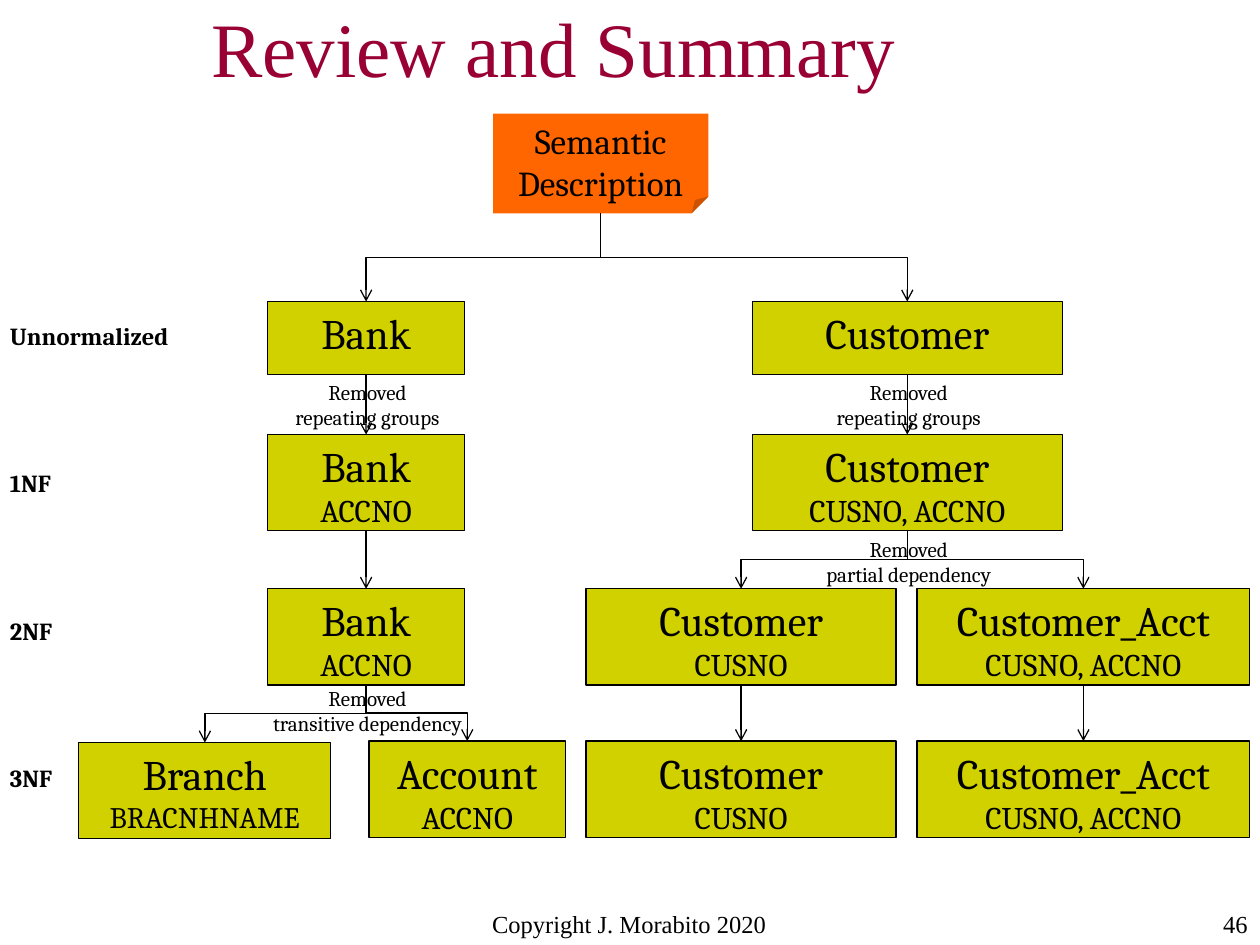
from lxml import etree
from pptx import Presentation
from pptx import util as u
from pptx.dml.color import RGBColor
from pptx.enum import shapes, text
from pptx.oxml import ns

BLACK, OLIVE, ORANGE, CRIMSON = "000000", "D1D100", "FF6600", "990033"
SERIF, CAMBRIA = "Times New Roman", "Cambria"
LEFT, CENTER, RIGHT = text.PP_ALIGN.LEFT, text.PP_ALIGN.CENTER, text.PP_ALIGN.RIGHT


def write(box, lines, sizes, font=CAMBRIA, color=BLACK, align=CENTER, bold=False,
          wrap=True, anchor=text.MSO_ANCHOR.TOP, gap=0):
    frame = box.text_frame
    frame.word_wrap = wrap
    frame.vertical_anchor = anchor
    for index, line in enumerate(lines):
        para = frame.add_paragraph() if index else frame.paragraphs[0]
        para.alignment = align
        if index and gap:
            para.space_before = u.Pt(gap)
        span = para.add_run()
        span.text = line
        span.font.name = font
        span.font.size = u.Pt(sizes[min(index, len(sizes) - 1)])
        span.font.bold = bold
        span.font.color.rgb = RGBColor.from_string(color)


def connect(x1, y1, x2, y2):
    """Arrow downwards; an elbow leaves and arrives vertically, so it is a turned one."""
    kind, turn = shapes.MSO_CONNECTOR.STRAIGHT, None
    ends = (x1, y1, x2, y2)
    if x1 != x2:
        kind = shapes.MSO_CONNECTOR.ELBOW
        middle_x, middle_y = (x1 + x2) / 2, (y1 + y2) / 2
        reach, spread = (y2 - y1) / 2, abs(x2 - x1) / 2
        turn = 90 if x2 < x1 else 270
        if x2 > x1:
            reach = -reach
        ends = (middle_x - reach, middle_y - spread, middle_x + reach, middle_y + spread)
    arrow = slide.shapes.add_connector(kind, *(u.Cm(end) for end in ends))
    arrow.line.color.rgb = RGBColor.from_string(BLACK)
    arrow.line.width = u.Pt(0.75)
    properties = arrow._element.spPr
    if turn:
        properties.find(ns.qn("a:xfrm")).set("rot", str(turn * 60000))
    etree.SubElement(properties.find(ns.qn("a:ln")), ns.qn("a:tailEnd"), type="arrow")
    etree.SubElement(properties, ns.qn("a:effectLst"))


deck = Presentation()
deck.slide_width, deck.slide_height = u.Cm(25.4), u.Cm(19.05)
slide = deck.slides.add_slide(deck.slide_layouts[6])

# Title and footer
for line, place, size, color, align, anchor in [
    ("Review and Summary", (4.01, 0.2, 21.39, 1.47), 44, CRIMSON, LEFT, text.MSO_ANCHOR.MIDDLE),
    ("Copyright J. Morabito 2020", (8.66, 18.21, 8.05, 0.64), 14, BLACK, CENTER, text.MSO_ANCHOR.TOP),
    ("46", (21.79, 18.21, 3.61, 0.84), 14, BLACK, RIGHT, text.MSO_ANCHOR.TOP),
]:
    box = slide.shapes.add_textbox(*map(u.Cm, place))
    write(box, [line], [size], font=SERIF, color=color, align=align, anchor=anchor)

# Column centres, row tops and box heights
BANK, CUSTOMER, CUSTOMER_KEY, ACCT, BRANCH, ACCOUNT = 7.38, 18.29, 14.94, 21.84, 4.13, 9.42
RAW, FIRST, SECOND, THIRD = 6.08, 8.76, 11.87, 14.94
SHORT, TALL = 1.47, 1.94
BRANCH_TOP = THIRD + 0.03

# Semantic description note
NOTE, NOTE_TOP, NOTE_HEIGHT = 12.11, 2.29, 2.01
note = slide.shapes.add_shape(shapes.MSO_SHAPE.FOLDED_CORNER, u.Cm(NOTE - 2.17),
                              u.Cm(NOTE_TOP), u.Cm(4.34), u.Cm(NOTE_HEIGHT))
note.shadow.inherit = False
note.fill.solid()
note.fill.fore_color.rgb = RGBColor.from_string(ORANGE)
note.line.fill.background()
write(note, ["Semantic", "Description"], [20])

# Relations: centre, top, width, name and key
for center, top, width, *lines in [
    (BANK, RAW, 3.96, "Bank"),
    (CUSTOMER, RAW, 6.25, "Customer"),
    (BANK, FIRST, 3.96, "Bank", "ACCNO"),
    (CUSTOMER, FIRST, 6.25, "Customer", "CUSNO, ACCNO"),
    (BANK, SECOND, 3.96, "Bank", "ACCNO"),
    (CUSTOMER_KEY, SECOND, 6.25, "Customer", "CUSNO"),
    (ACCT, SECOND, 6.71, "Customer_Acct", "CUSNO, ACCNO"),
    (CUSTOMER_KEY, THIRD, 6.25, "Customer", "CUSNO"),
    (ACCT, THIRD, 6.71, "Customer_Acct", "CUSNO, ACCNO"),
    (BRANCH, BRANCH_TOP, 5.08, "Branch", "BRACNHNAME"),
    (ACCOUNT, THIRD, 3.96, "Account", "ACCNO"),
]:
    height = SHORT if top == RAW else TALL
    relation = slide.shapes.add_shape(shapes.MSO_SHAPE.RECTANGLE, u.Cm(center - width / 2),
                                      u.Cm(top), u.Cm(width), u.Cm(height))
    relation.shadow.inherit = False
    relation.fill.solid()
    relation.fill.fore_color.rgb = RGBColor.from_string(OLIVE)
    relation.line.color.rgb = RGBColor.from_string(BLACK)
    relation.line.width = u.Pt(0.75)
    write(relation, lines, [24, 17 if center == BRANCH else 18])

# Arrows between the levels
for start, bottom, end, top in [
    (NOTE, NOTE_TOP + NOTE_HEIGHT, BANK, RAW),
    (NOTE, NOTE_TOP + NOTE_HEIGHT, CUSTOMER, RAW),
    (BANK, RAW + SHORT, BANK, FIRST),
    (CUSTOMER, RAW + SHORT, CUSTOMER, FIRST),
    (BANK, FIRST + TALL, BANK, SECOND),
    (CUSTOMER, FIRST + TALL, ACCT, SECOND),
    (CUSTOMER, FIRST + TALL, CUSTOMER_KEY, SECOND),
    (BANK, SECOND + TALL, BRANCH, BRANCH_TOP),
    (BANK, SECOND + TALL, ACCOUNT, THIRD),
    (CUSTOMER_KEY, SECOND + TALL, CUSTOMER_KEY, THIRD),
    (ACCT, SECOND + TALL, ACCT, THIRD),
]:
    connect(start, bottom, end, top)

# Normal forms down the left edge
levels = slide.shapes.add_textbox(u.Cm(-0.05), u.Cm(6.35), u.Cm(3.99), u.Cm(9.75))
write(levels, ["Unnormalized", "1NF", "2NF", "3NF"], [14], align=LEFT, bold=True,
      wrap=False, gap=67.3)

# What each step removed
for center, top, width, removed in [
    (BANK, 7.52, 3.96, "repeating groups"),
    (CUSTOMER, 7.52, 3.96, "repeating groups"),
    (CUSTOMER, 10.69, 4.34, "partial dependency"),
    (BANK, 13.69, 5.0, "transitive dependency"),
]:
    label = slide.shapes.add_textbox(u.Cm(center + 0.03 - width / 2), u.Cm(top),
                                     u.Cm(width), u.Cm(1.27))
    write(label, ["Removed", removed], [12], wrap=False)

deck.save("out.pptx")
